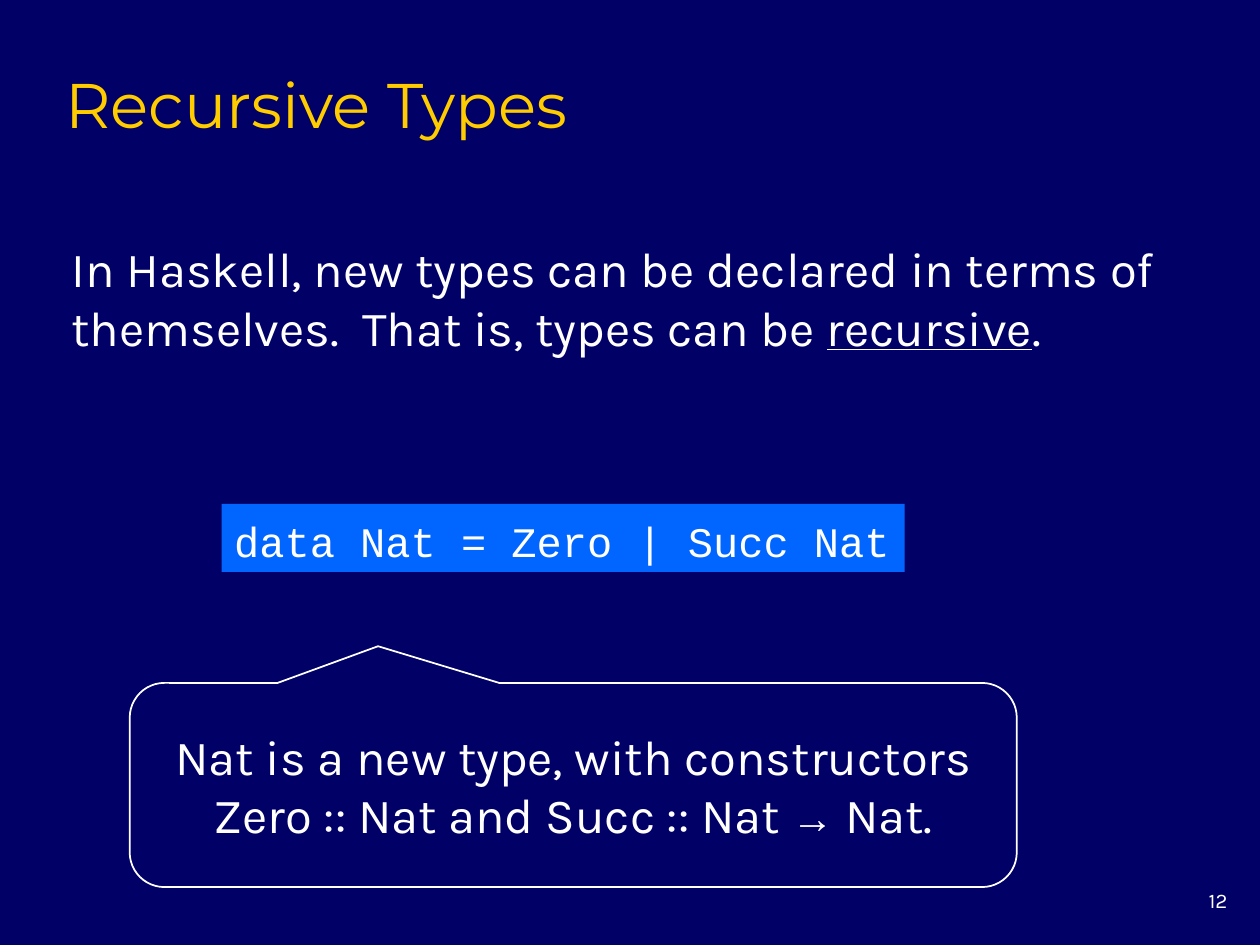
from dataclasses import dataclass

from pptx import Presentation
from pptx.dml.color import RGBColor
from pptx.enum.shapes import MSO_SHAPE
from pptx.enum.text import MSO_ANCHOR, PP_ALIGN
from pptx.util import Inches, Pt

COLUMNS, ROWS = 100, 75


@dataclass(frozen=True)
class Theme:
    """Colours, fonts and type sizes of the slide."""

    background: RGBColor = RGBColor(0x00, 0x00, 0x66)
    heading: RGBColor = RGBColor(0xFF, 0xCC, 0x00)
    ink: RGBColor = RGBColor(0xFF, 0xFF, 0xFF)
    panel: RGBColor = RGBColor(0x00, 0x66, 0xFF)
    heading_font: str = "Montserrat"
    body_font: str = "Karla"
    code_font: str = "Courier New"
    symbol_font: str = "Arial"
    heading_size: float = 36
    body_size: float = 28
    code_size: float = 24
    number_size: float = 11.9


THEME = Theme()


def place(deck, column, row, columns, rows):
    """Turn a grid area into left, top, width and height."""
    column_width = deck.slide_width / COLUMNS
    row_height = deck.slide_height / ROWS
    return (
        round(column * column_width),
        round(row * row_height),
        round(columns * column_width),
        round(rows * row_height),
    )


def style(words, **changes):
    """Pair words with the body format and any changes to it."""
    values = {"name": THEME.body_font, "size": THEME.body_size, "color": THEME.ink}
    return words, {**values, **changes}


def write(box, spans, anchor=MSO_ANCHOR.TOP, wrap=True, **paragraph):
    """Fill a box with one paragraph of formatted spans."""
    frame = box.text_frame
    frame.word_wrap = wrap
    frame.vertical_anchor = anchor
    para = frame.paragraphs[0]
    for name, value in {"alignment": PP_ALIGN.LEFT, **paragraph}.items():
        setattr(para, name, value)
    for words, values in spans:
        span = para.add_run()
        span.text = words
        for name, value in values.items():
            if name == "color":
                span.font.color.rgb = value
            else:
                setattr(span.font, name, Pt(value) if name == "size" else value)


def add_text(page, area, spans, **layout):
    """Add a plain text box."""
    write(page.shapes.add_textbox(*area), spans, **layout)


def add_code(page, area, code):
    """Add a line of code on a filled panel."""
    box = page.shapes.add_shape(MSO_SHAPE.RECTANGLE, *area)
    box.shadow.inherit = False
    box.fill.solid()
    box.fill.fore_color.rgb = THEME.panel
    box.line.fill.background()
    spans = [style(code, name=THEME.code_font, size=THEME.code_size)]
    write(box, spans, MSO_ANCHOR.MIDDLE, wrap=False, line_spacing=1.1)


def add_callout(page, area, pointer, spans):
    """Add an outlined rounded callout with its pointer adjustments."""
    box = page.shapes.add_shape(MSO_SHAPE.ROUNDED_RECTANGULAR_CALLOUT, *area)
    box.shadow.inherit = False
    box.fill.background()
    box.line.color.rgb = THEME.ink
    box.line.width = Pt(1)
    for index, value in enumerate(pointer):
        box.adjustments[index] = value
    write(box, spans, MSO_ANCHOR.MIDDLE, alignment=PP_ALIGN.CENTER)


def main():
    """Build and save the slide."""
    deck = Presentation()
    deck.slide_width, deck.slide_height = Inches(10), Inches(7.5)
    page = deck.slides.add_slide(deck.slide_layouts[6])
    page.background.fill.solid()
    page.background.fill.fore_color.rgb = THEME.background

    number = style("12", size=THEME.number_size)
    add_text(page, place(deck, 91.7, 70, 6.7, 3.3), [number], alignment=PP_ALIGN.RIGHT)

    heading = style(
        "Recursive Types",
        name=THEME.heading_font,
        size=THEME.heading_size,
        color=THEME.heading,
    )
    add_text(page, place(deck, 4.2, 4.2, 85, 7.5), [heading], anchor=MSO_ANCHOR.BOTTOM)

    statement = [
        style(
            "In Haskell, new types can be declared in terms of themselves.  "
            "That is, types can be "
        ),
        style("recursive", underline=True),
        style("."),
    ]
    add_text(page, place(deck, 4.7, 18.4, 90.4, 10.4), statement, anchor=MSO_ANCHOR.MIDDLE)

    add_code(page, place(deck, 17.6, 40, 54.2, 5.4), "data Nat = Zero | Succ Nat")

    explanation = [
        style("Nat is a new type, with constructors Zero :: Nat and Succ :: Nat "),
        style("→", name=THEME.symbol_font, size=THEME.code_size),
        style(" Nat."),
    ]
    add_callout(
        page, place(deck, 10.3, 54.2, 70.4, 16.2), (-0.22, -0.68, 0.17), explanation
    )
    deck.save("out.pptx")


if __name__ == "__main__":
    main()
